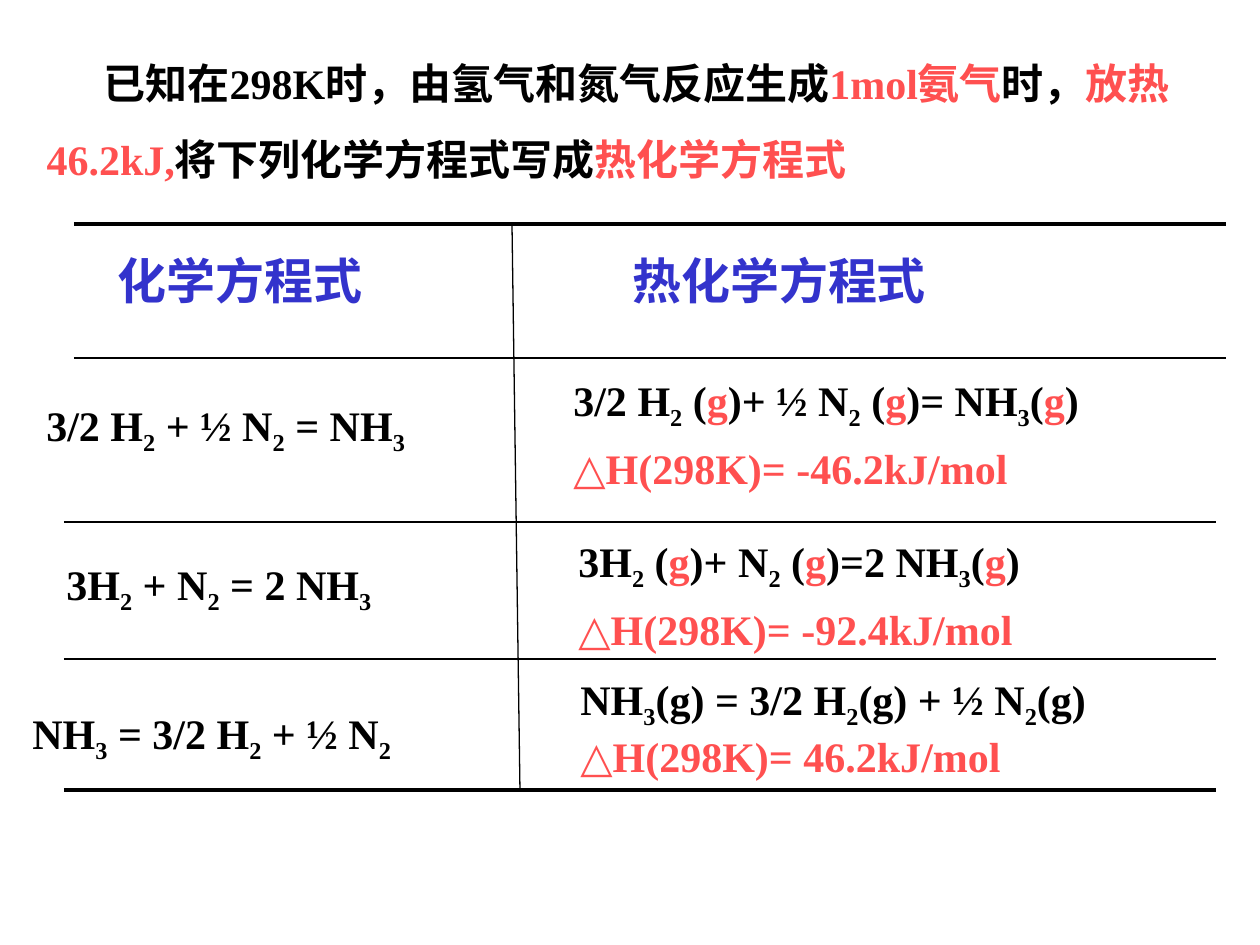
from lxml.etree import SubElement
from pptx import Presentation
from pptx.dml.color import RGBColor
from pptx.enum.shapes import MSO_CONNECTOR
from pptx.enum.text import MSO_ANCHOR, MSO_AUTO_SIZE, PP_ALIGN
from pptx.oxml.ns import qn
from pptx.util import Emu, Pt

PIXELS_PER_INCH = 126
FONT = "Times New Roman"
BLACK, RED, BLUE = "000000", "FF5050", "3333CC"

# In the texts below, [..] marks red words and _ lowers the next character.
PROBLEM = [
    "已知在298K时，由氢气和氮气反应生成[1mol氨气]时，[放热]",
    "[46.2kJ,]将下列化学方程式写成[热化学方程式]",
]

# Column headings: text, left, top, width, height
HEADINGS = [
    ("化学方程式", 105, 244, 338, 72),
    ("热化学方程式", 620, 244, 427, 72),
]

# Plain equations: text, left, top, width, height
EQUATIONS = [
    ("3/2 H_2 + ½ N_2 = NH_3", 34, 393, 456, 71),
    ("3H_2 + N_2 = 2 NH_3", 54, 552, 456, 71),
    ("NH_3 = 3/2 H_2 + ½ N_2", 20, 701, 501, 71),
]

# Thermochemical equations: equation, heat, space between, left, top, width, height
THERMOCHEMICAL = [
    ("3/2 H_2 ([g])+ ½ N_2 ([g])= NH_3([g])", "-46.2", 6, 561, 368, 615, 125),
    ("3H_2 ([g])+ N_2 ([g])=2 NH_3([g])", "-92.4", 6, 566, 529, 630, 131),
    ("NH_3(g) = 3/2 H_2(g) + ½ N_2(g)", "46.2", 0, 568, 667, 638, 121),
]

# Rules of the table: left, top, right, bottom, width in points
RULES = [
    (74, 224, 1226, 224, 2.25),
    (74, 358, 1226, 358, 1),
    (64, 522, 1216, 522, 1),
    (64, 659, 1216, 659, 1),
    (64, 790, 1216, 790, 2.25),
    (512, 224, 520, 790, 0.75),
]


def px(pixels):
    return Emu(round(pixels * 914400 / PIXELS_PER_INCH))


def color(hex_string):
    return RGBColor.from_string(hex_string)


def add_run(paragraph, text, hex_color, subscript=False):
    if not text:
        return
    run = paragraph.add_run()
    run.text = text
    run.font.color.rgb = color(hex_color)
    if subscript:
        run.font._element.set("baseline", "-25000")


def write_marked(paragraph, text, base_color):
    for index, part in enumerate(text.replace("]", "[").split("[")):
        hex_color = RED if index % 2 else base_color
        first, *lowered = part.split("_")
        add_run(paragraph, first, hex_color)
        for piece in lowered:
            add_run(paragraph, piece[0], hex_color, subscript=True)
            add_run(paragraph, piece[1:], hex_color)


def fill_text(shape, lines, size=24, base_color=BLACK, space=0):
    frame = shape.text_frame
    frame.word_wrap = True
    frame.auto_size = MSO_AUTO_SIZE.NONE
    frame.vertical_anchor = MSO_ANCHOR.TOP
    for index, line in enumerate(lines):
        paragraph = frame.add_paragraph() if index else frame.paragraphs[0]
        paragraph.alignment = PP_ALIGN.LEFT
        paragraph.space_before = Pt(space if index else 0)
        paragraph.font.name = FONT
        paragraph.font.size = Pt(size)
        paragraph.font.bold = True
        write_marked(paragraph, line, base_color)


def add_text(slide, box, lines, **style):
    shape = slide.shapes.add_textbox(*map(px, box))
    fill_text(shape, lines, **style)


def add_problem(slide):
    title = slide.shapes.title
    title.left, title.top, title.width, title.height = map(px, (34, 51, 1191, 168))
    fill_text(title, PROBLEM, space=15)
    first = title.text_frame.paragraphs[0]
    first._p.get_or_add_pPr().set("indent", str(px(57)))


def add_rule(slide, left, top, right, bottom, width):
    rule = slide.shapes.add_connector(
        MSO_CONNECTOR.STRAIGHT, *map(px, (left, top, right, bottom)))
    rule.line.color.rgb = color(BLACK)
    rule.line.width = Pt(width)
    SubElement(rule._element.spPr, qn("a:effectLst"))


def main():
    presentation = Presentation()
    presentation.slide_width, presentation.slide_height = px(1260), px(945)
    slide = presentation.slides.add_slide(presentation.slide_layouts[5])

    # Problem statement
    add_problem(slide)

    # Table rules
    for rule in RULES:
        add_rule(slide, *rule)

    # Headings and equations
    for text, *box in HEADINGS:
        add_text(slide, box, [text], size=28, base_color=BLUE)
    for text, *box in EQUATIONS:
        add_text(slide, box, [text])
    for equation, heat, space, *box in THERMOCHEMICAL:
        enthalpy = f"[△H(298K)= {heat}kJ/mol]"
        add_text(slide, box, [equation, enthalpy], space=space)

    presentation.save("out.pptx")


if __name__ == "__main__":
    main()
